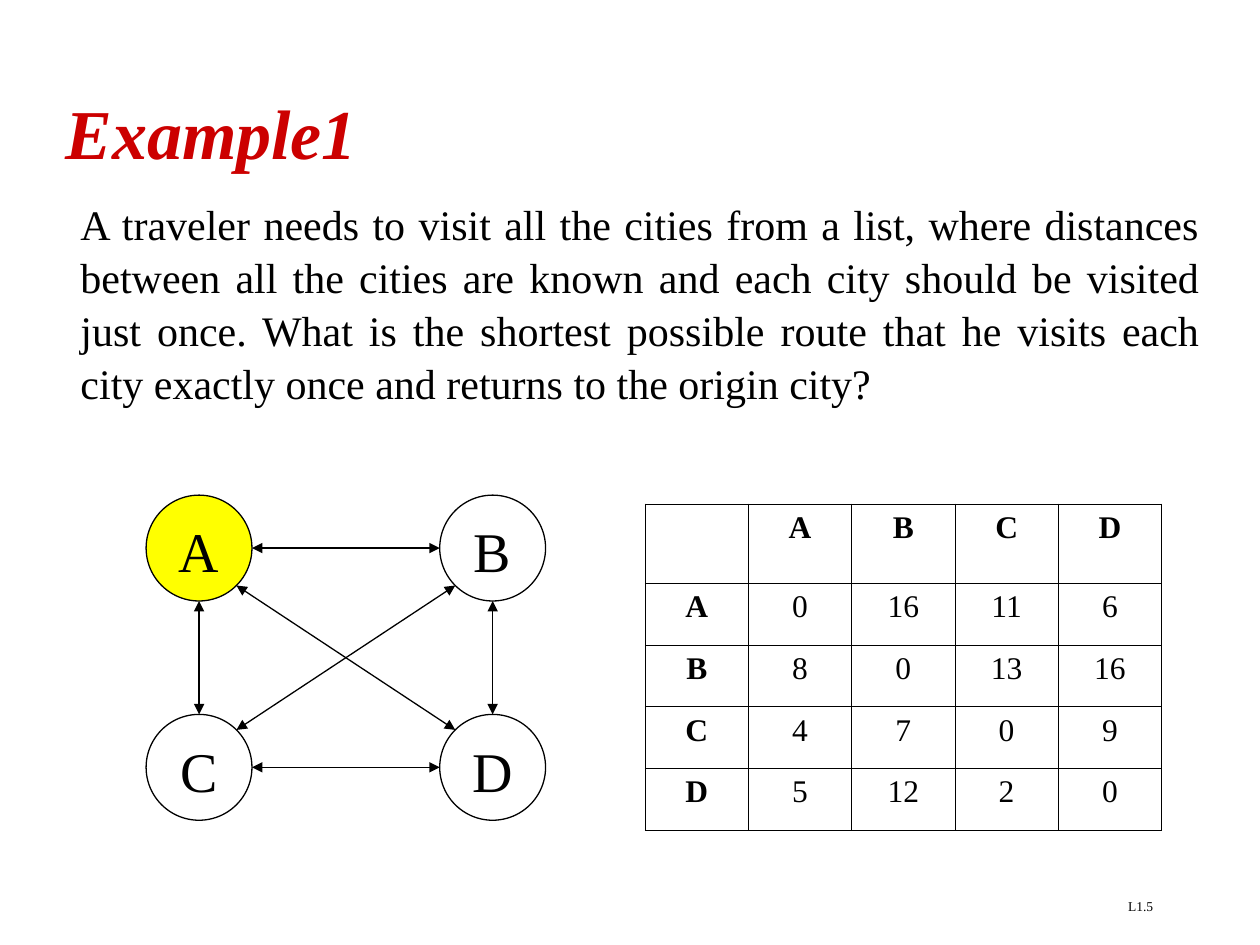
from math import hypot

from pptx import Presentation
from pptx.dml.color import RGBColor
from pptx.enum.shapes import MSO_CONNECTOR, MSO_SHAPE
from pptx.enum.text import MSO_ANCHOR, PP_ALIGN
from pptx.oxml.ns import qn
from pptx.util import Inches, Pt
from lxml.etree import SubElement

# Content
TITLE = "Example1"
PROBLEM = (
    "A traveler needs to visit all the cities from a list, where distances "
    "between all the cities are known and each city should be visited just once. "
    "What is the shortest possible route that he visits each city exactly once "
    "and returns to the origin city?"
)
PAGE = "L1.5"
CITIES = {"A": (0, 0), "B": (1, 0), "C": (0, 1), "D": (1, 1)}  # column, row
START = "A"
ROADS = ["AB", "AC", "CD", "BD", "AD", "CB"]
DISTANCES = [
    ["", "A", "B", "C", "D"],
    ["A", 0, 16, 11, 6],
    ["B", 8, 0, 13, 16],
    ["C", 4, 7, 0, 9],
    ["D", 5, 12, 2, 0],
]

# Style and layout, in inches
COLORS = {"title": "CC0000", "ink": "000000", "start": "FFFF00"}
FONT = "Times New Roman"
RADIUS = 0.42
FIRST_X, FIRST_Y = 1.58, 4.35
STEP_X, STEP_Y = 2.33, 1.74
COLUMN_WIDTH, HEADER_HEIGHT, ROW_HEIGHT = 0.82, 0.63, 0.49


def color(name):
    return RGBColor.from_string(COLORS[name])


def write(frame, text, size, align=None, ink="ink", bold=False, italic=False):
    paragraph = frame.paragraphs[0]
    paragraph.text = text
    paragraph.alignment = align
    font = paragraph.font
    font.name, font.size, font.bold, font.italic = FONT, Pt(size), bold, italic
    font.color.rgb = color(ink)
    return paragraph


def add_text(slide, box, *args):
    frame = slide.shapes.add_textbox(*map(Inches, box)).text_frame
    frame.word_wrap = True
    return write(frame, *args)


def center(city):
    column, row = CITIES[city]
    return FIRST_X + column * STEP_X, FIRST_Y + row * STEP_Y


def add_city(slide, city):
    x, y = center(city)
    node = slide.shapes.add_shape(
        MSO_SHAPE.OVAL, *map(Inches, (x - RADIUS, y - RADIUS, 2 * RADIUS, 2 * RADIUS)))
    node.shadow.inherit = False
    if city == START:
        node.fill.solid()
        node.fill.fore_color.rgb = color("start")
    else:
        node.fill.background()
    node.line.color.rgb = color("ink")
    node.line.width = Pt(0.75)
    node.text_frame.vertical_anchor = MSO_ANCHOR.TOP
    write(node.text_frame, city, 32, PP_ALIGN.CENTER)


def add_road(slide, start, end):
    # Roads leave the circles at multiples of 45 degrees
    (x1, y1), (x2, y2) = center(start), center(end)
    side_x = (x2 > x1) - (x2 < x1)
    side_y = (y2 > y1) - (y2 < y1)
    reach = RADIUS / hypot(side_x, side_y)
    dx, dy = side_x * reach, side_y * reach
    road = slide.shapes.add_connector(
        MSO_CONNECTOR.STRAIGHT, *map(Inches, (x1 + dx, y1 + dy, x2 - dx, y2 - dy)))
    road.line.color.rgb = color("ink")
    road.line.width = Pt(0.75)
    outline = road.line._get_or_add_ln()
    for tag in ("a:headEnd", "a:tailEnd"):
        SubElement(outline, qn(tag), type="triangle")
    SubElement(road._element.spPr, qn("a:effectLst"))


def add_borders(cell):
    properties = cell._tc.get_or_add_tcPr()
    for position, tag in enumerate(("a:lnL", "a:lnR", "a:lnT", "a:lnB")):
        border = SubElement(properties, qn(tag), w=str(Pt(0.45)))
        fill = SubElement(border, qn("a:solidFill"))
        SubElement(fill, qn("a:srgbClr"), val=COLORS["ink"])
        properties.insert(position, border)


def add_distances(slide):
    count = len(DISTANCES)
    height = HEADER_HEIGHT + (count - 1) * ROW_HEIGHT
    table = slide.shapes.add_table(
        count, count, *map(Inches, (5.12, 4, count * COLUMN_WIDTH, height))).table
    table.first_row = table.horz_banding = False
    for column in table.columns:
        column.width = Inches(COLUMN_WIDTH)
    for r, values in enumerate(DISTANCES):
        table.rows[r].height = Inches(ROW_HEIGHT if r else HEADER_HEIGHT)
        for c, value in enumerate(values):
            cell = table.cell(r, c)
            cell.fill.background()
            write(cell.text_frame, str(value), 18, PP_ALIGN.CENTER, "ink", r == 0 or c == 0)
            add_borders(cell)


def main():
    deck = Presentation()
    deck.slide_width, deck.slide_height = Inches(10), Inches(7.5)
    slide = deck.slides.add_slide(deck.slide_layouts[5])

    # Title, problem and page number
    title = slide.shapes.title
    title.left, title.top, title.width, title.height = map(Inches, (0.42, 0.42, 9.33, 1.25))
    title.text_frame.vertical_anchor = MSO_ANCHOR.MIDDLE
    write(title.text_frame, TITLE, 40, PP_ALIGN.LEFT, "title", True, True)
    problem = add_text(slide, (0.54, 1.51, 9.08, 1.7), PROBLEM, 24, PP_ALIGN.JUSTIFY)
    problem.line_spacing = 1.05
    add_text(slide, (7.17, 7.08, 2.08, 0.25), PAGE, 7.7, PP_ALIGN.RIGHT)

    # City graph
    for city in CITIES:
        add_city(slide, city)
    for start, end in ROADS:
        add_road(slide, start, end)

    # Distance table
    add_distances(slide)
    deck.save("out.pptx")


if __name__ == "__main__":
    main()
